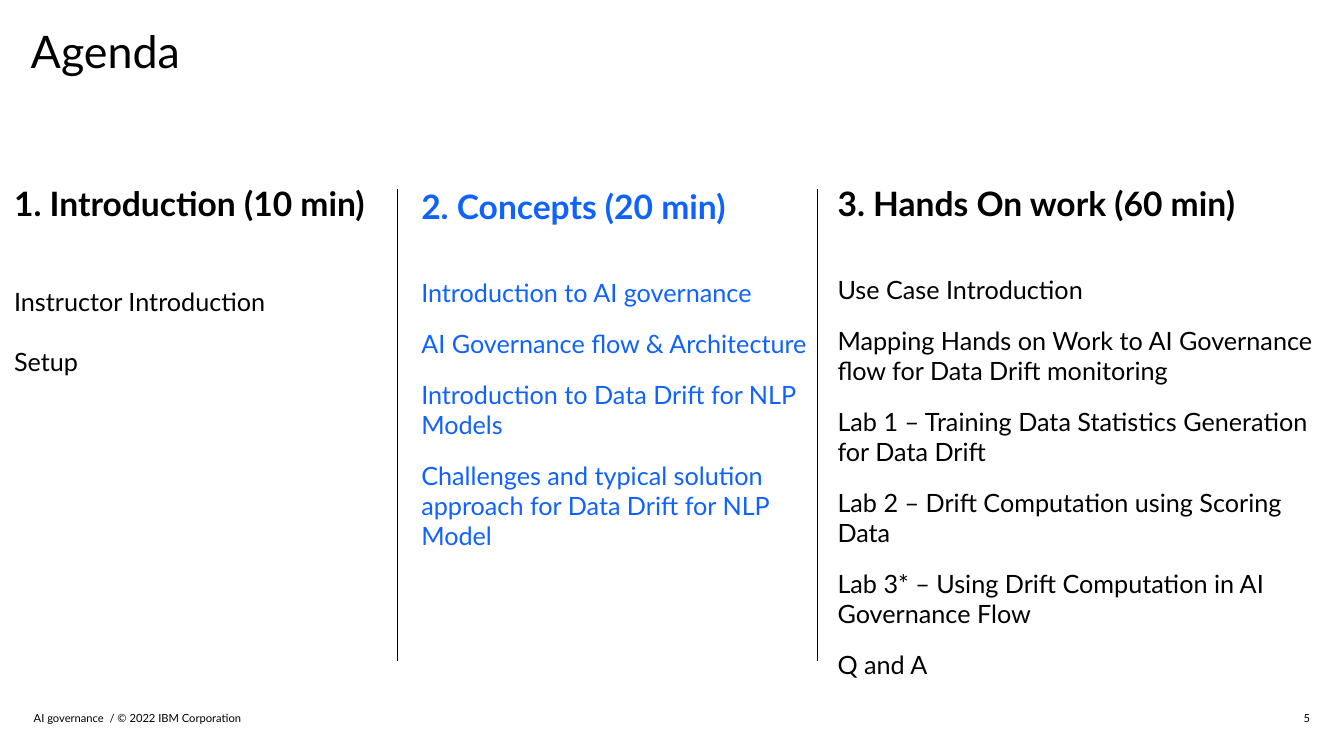
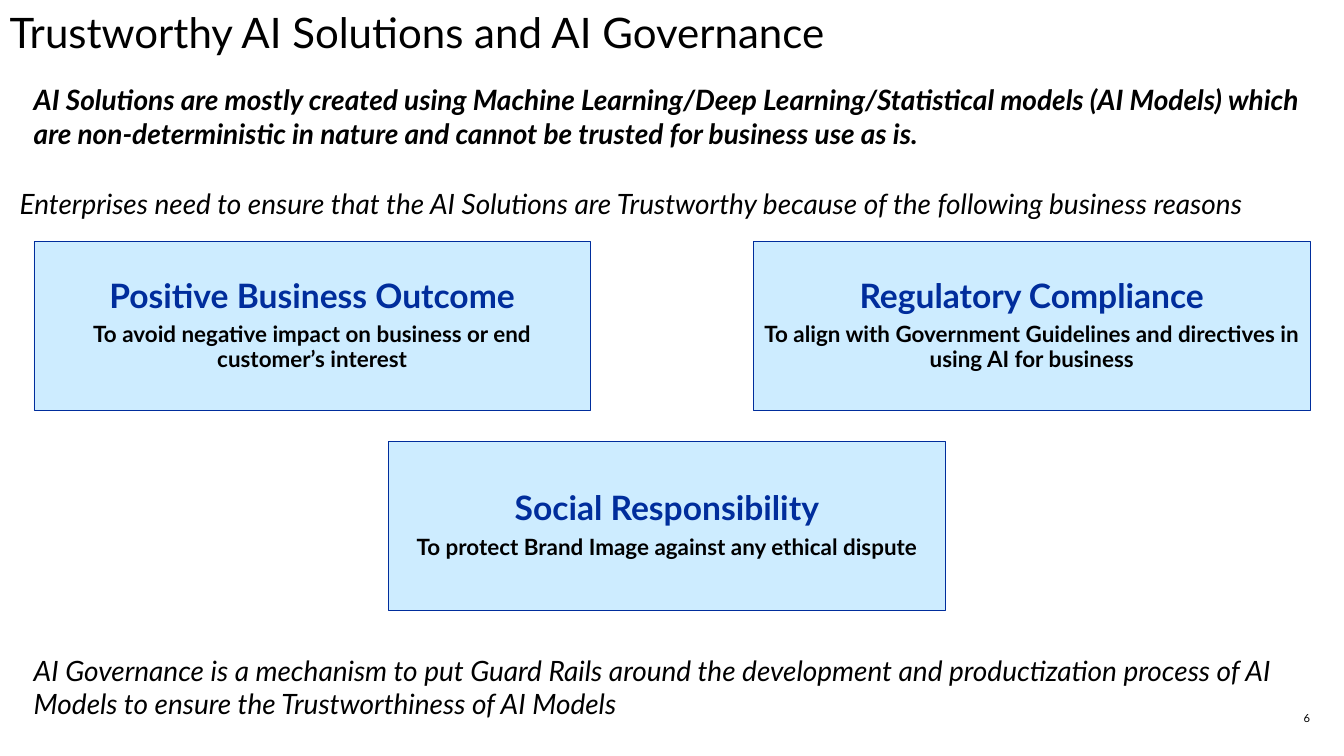
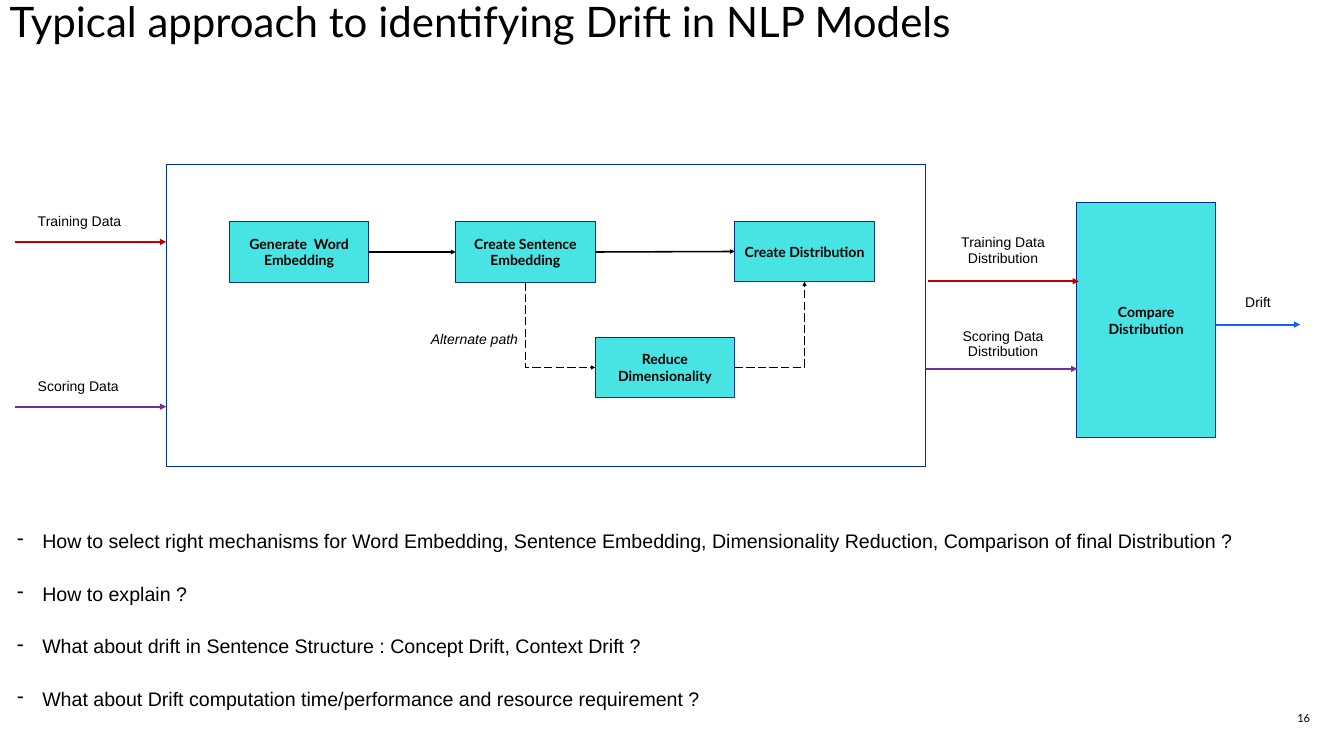
from lxml import etree
from pptx import Presentation
from pptx import util as u
from pptx.dml.color import RGBColor
from pptx.enum import dml, shapes, text
from pptx.oxml.ns import qn

PX = 9144  # 100 px to the inch
BLACK = RGBColor(0x00, 0x00, 0x00)
BLUE = RGBColor(0x0F, 0x62, 0xFE)
NAVY = RGBColor(0x00, 0x2D, 0x9C)
PALE = RGBColor(0xCD, 0xEC, 0xFF)
TEAL = RGBColor(0x48, 0xE3, 0xE3)
RED = RGBColor(0xC0, 0x00, 0x00)
PURPLE = RGBColor(0x70, 0x30, 0xA0)
LEFT, CENTER, RIGHT = text.PP_ALIGN.LEFT, text.PP_ALIGN.CENTER, text.PP_ALIGN.RIGHT
TOP, MIDDLE = text.MSO_ANCHOR.TOP, text.MSO_ANCHOR.MIDDLE
STRAIGHT, ELBOW = shapes.MSO_CONNECTOR.STRAIGHT, shapes.MSO_CONNECTOR.ELBOW


def write(s, at, items, size=36, color=BLACK, font="Lato", bold=False, italic=False,
          align=LEFT, anchor=TOP, inset=(0, 0), wrap=True, grow=False, spacing=None,
          before=0, bullet=None, fill=None, border=None, border_pt=0.75, title=False):
    """Place a title, rectangle or text box; items is a string or (text, overrides) pairs."""
    box = [v * PX for v in at]
    if title:
        sp = s.shapes.title
        sp.left, sp.top, sp.width, sp.height = box
    elif border is not None:
        sp = s.shapes.add_shape(shapes.MSO_SHAPE.RECTANGLE, *box)
        sp.shadow.inherit = False
        sp.line.color.rgb, sp.line.width = border, u.Pt(border_pt)
        if fill is None:
            sp.fill.background()
        else:
            sp.fill.solid()
            sp.fill.fore_color.rgb = fill
    else:
        sp = s.shapes.add_textbox(*box)
    tf = sp.text_frame
    tf.word_wrap, tf.vertical_anchor = wrap, anchor
    tf.auto_size = text.MSO_AUTO_SIZE.SHAPE_TO_FIT_TEXT if grow else text.MSO_AUTO_SIZE.NONE
    tf.margin_left = tf.margin_right = inset[0] * PX
    tf.margin_top = tf.margin_bottom = inset[1] * PX
    for i, (txt, own) in enumerate([(items, {})] if isinstance(items, str) else items):
        p = tf.add_paragraph() if i else tf.paragraphs[0]
        p.alignment, p.line_spacing = align, spacing
        p.space_before = u.Pt(own.get("before", before) if i else 0)
        if bullet:
            pPr = p._p.get_or_add_pPr()
            pPr.set("marL", str(50 * PX))
            pPr.set("indent", str(-50 * PX))
            etree.SubElement(pPr, qn("a:buChar")).set("char", bullet)
        r = p.add_run()
        r.text = txt
        r.font.name, r.font.size = font, u.Pt(own.get("size", size))
        r.font.bold, r.font.italic = own.get("bold", bold), italic
        r.font.color.rgb = own.get("color", color)
    return sp


def connect(s, ends, color=BLACK, width=2.25, kind=STRAIGHT, arrow=True, dash=None, join=None):
    """Draw a line; join is (shape, side, shape, side)."""
    cn = s.shapes.add_connector(kind, *(v * PX for v in ends))
    if join:
        cn.begin_connect(*join[:2])
        cn.end_connect(*join[2:])
    cn.line.color.rgb, cn.line.width = color, u.Pt(width)
    if dash:
        cn.line.dash_style = dash
    spPr = cn._element.spPr
    if arrow:
        etree.SubElement(spPr.find(qn("a:ln")), qn("a:tailEnd")).set("type", "triangle")
    if kind == ELBOW:
        spPr.find(qn("a:prstGeom")).set("prst", "bentConnector2")
    etree.SubElement(spPr, qn("a:effectLst"))
    return cn


prs = Presentation()
prs.slide_width, prs.slide_height = 2667 * PX, 1500 * PX

# Titles and page numbers
slides = []
for title, at, size, page in (
    ("Agenda", (61, 59, 1208, 235), 64, "5"),
    ("Trustworthy AI Solutions and AI Governance", (19, 24, 2561, 120), 60, "6"),
    ("Typical approach to identifying Drift in NLP Models", (19, 3, 2561, 120), 60, "16"),
):
    s = prs.slides.add_slide(prs.slide_layouts[5])
    write(s, at, title, size=size, spacing=0.9, title=True)
    write(s, (2067, 1400, 533, 49), page, size=16, align=RIGHT, anchor=MIDDLE)
    slides.append(s)
agenda, trust, drift = slides

# Agenda: three columns with dividers
for at, color, heading, heading_gap, gap, topics in (
    ((28, 363, 718, 948), BLACK, "1. Introduction (10 min)", 89.5, 43,
     ("Instructor Introduction", "Setup")),
    ((836, 369, 803, 948), BLUE, "2. Concepts (20 min)", 73, 29.3,
     ("Introduction to AI governance", "AI Governance flow & Architecture",
      "Introduction to Data Drift for NLP Models",
      "Challenges and typical solution approach for Data Drift for NLP Model")),
    ((1662, 363, 977, 1037), BLACK, "3. Hands On work (60 min)", 73, 29.3,
     ("Use Case Introduction",
      "Mapping Hands on Work to AI Governance flow for Data Drift monitoring",
      "Lab 1 – Training Data Statistics Generation for Data Drift",
      "Lab 2 – Drift Computation using Scoring Data",
      "Lab 3* – Using Drift Computation in AI Governance Flow", "Q and A")),
):
    items = [(heading, {"size": 48, "bold": True})]
    items += [(t, {"before": gap if i else heading_gap}) for i, t in enumerate(topics)]
    write(agenda, at, items, color=color)
for x in (788, 1621):
    connect(agenda, (x, 376, x, 1311), width=0.25, arrow=False)
write(agenda, (67, 1400, 1200, 49), "AI governance  / © 2022 IBM Corporation",
      size=16, anchor=MIDDLE)

# Trustworthy AI: reason cards
for x, y, heading, reason in (
    (771, 876, "Social Responsibility", "To protect Brand Image against any ethical dispute"),
    (1495, 479, "Regulatory Compliance",
     "To align with Government Guidelines and directives in using AI for business"),
    (67, 479, "Positive Business Outcome",
     "To avoid negative impact on business or end customer’s interest"),
):
    write(trust, (x, y, 1105, 335), [(heading, {"size": 48, "color": NAVY}), (reason, {})],
          size=32, bold=True, align=CENTER, anchor=MIDDLE, inset=(10, 10), spacing=0.9,
          before=11, fill=PALE, border=NAVY)

# Trustworthy AI: statements
for at, bold, statement in (
    ((67, 144, 2513, 173), True,
     "AI Solutions are mostly created using Machine Learning/Deep Learning/Statistical models "
     "(AI Models) which are non-deterministic in nature and cannot be trusted for business use "
     "as is."),
    ((67, 1276, 2513, 173), False,
     "AI Governance is a mechanism to put Guard Rails around the development and productization "
     "process of AI Models to ensure the Trustworthiness of AI Models"),
    ((39, 316, 2628, 173), False,
     "Enterprises need to ensure that the AI Solutions are Trustworthy because of the following "
     "business reasons"),
):
    write(trust, at, statement, size=40, bold=bold, italic=True, anchor=MIDDLE)

# Drift: process steps inside a frame
steps = [
    write(drift, at, label, size=20, bold=True, align=CENTER, anchor=MIDDLE, inset=(10, 10),
          fill=TEAL, border=NAVY, border_pt=1.5)
    for label, at in (
        ("Generate  Word Embedding", (455, 440, 277, 120)),
        ("Create Sentence Embedding", (904, 440, 277, 120)),
        ("Create Distribution", (1458, 439, 277, 120)),
        ("Reduce Dimensionality", (1181, 669, 277, 120)),
        ("Compare Distribution", (2136, 402, 277, 466)),
    )
]
word, sentence, distribution, reduce_dim, compare = steps
write(drift, (330, 327, 1507, 598), (), border=NAVY, border_pt=1.5)

# Drift: main path and dashed alternate path
connect(drift, (732, 500, 904, 500), join=(word, 3, sentence, 1))
connect(drift, (1181, 500, 1458, 499), join=(sentence, 3, distribution, 1))
dashed = {"width": 1.5, "kind": ELBOW, "dash": dml.MSO_LINE.LONG_DASH}
down = connect(drift, (1042, 560, 1181, 729), join=(sentence, 2, reduce_dim, 1), **dashed)
down.left, down.top, down.width, down.height = (v * PX for v in (1027, 575, 169, 139))
down.rotation = 270
down._element.spPr.find(qn("a:xfrm")).set("flipH", "1")
connect(drift, (1458, 729, 1597, 559), join=(reduce_dim, 3, distribution, 2), **dashed)

# Drift: data flows
for x1, x2, y, color in (
    (30, 330, 480, RED), (30, 330, 807, PURPLE),
    (1841, 2141, 558, RED), (1838, 2138, 732, PURPLE), (2413, 2580, 644, BLUE),
):
    connect(drift, (x1, y, x2, y), color=color, width=3)

# Drift: flow labels
label = {"size": 20, "font": "Arial", "inset": (10, 10), "grow": True, "spacing": 0.9}
write(drift, (65, 415, 189, 50), "Training Data", wrap=False, **label)
write(drift, (65, 742, 182, 50), "Scoring Data", wrap=False, **label)
for x, y, h, txt, italic in (
    (1879, 458, 81, "Training Data Distribution", False),
    (1879, 644, 81, "Scoring Data Distribution", False),
    (2385, 576, 50, "Drift", False),
    (830, 649, 50, "Alternate path", True),
):
    write(drift, (x, y, 223, h), txt, align=CENTER, italic=italic, **label)

# Drift: open questions
questions = (
    "How to select right mechanisms for Word Embedding, Sentence Embedding, "
    "Dimensionality Reduction, Comparison of final Distribution ?",
    "How to explain ?",
    "What about drift in Sentence Structure : Concept Drift, Context Drift ?",
    "What about Drift computation time/performance and resource requirement ?",
)
write(drift, (24, 1050, 2619, 369), [(q, {}) for q in questions], size=28, font="Arial",
      inset=(10, 5), grow=True, spacing=0.9, before=45, bullet="-")

prs.save("out.pptx")
